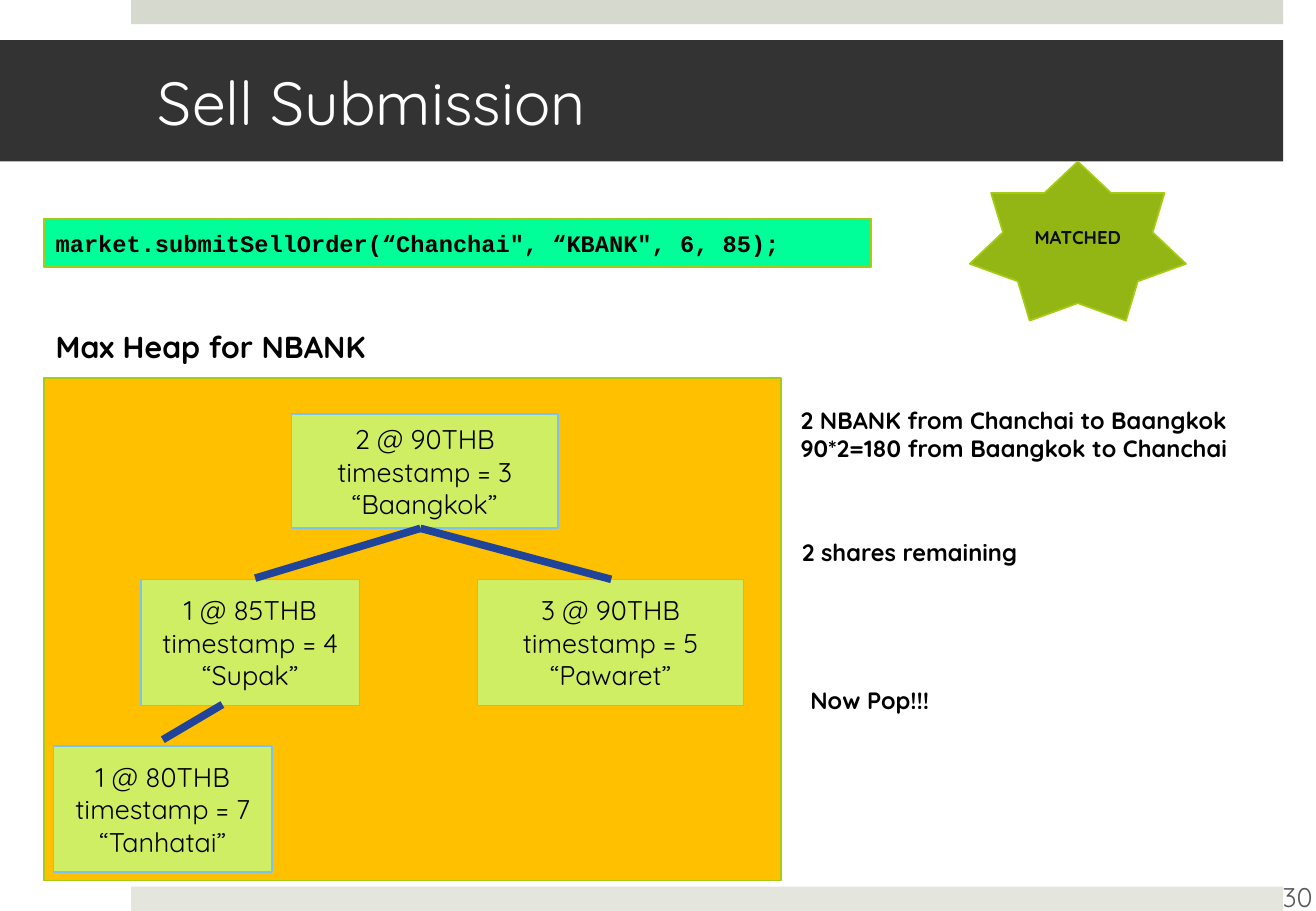
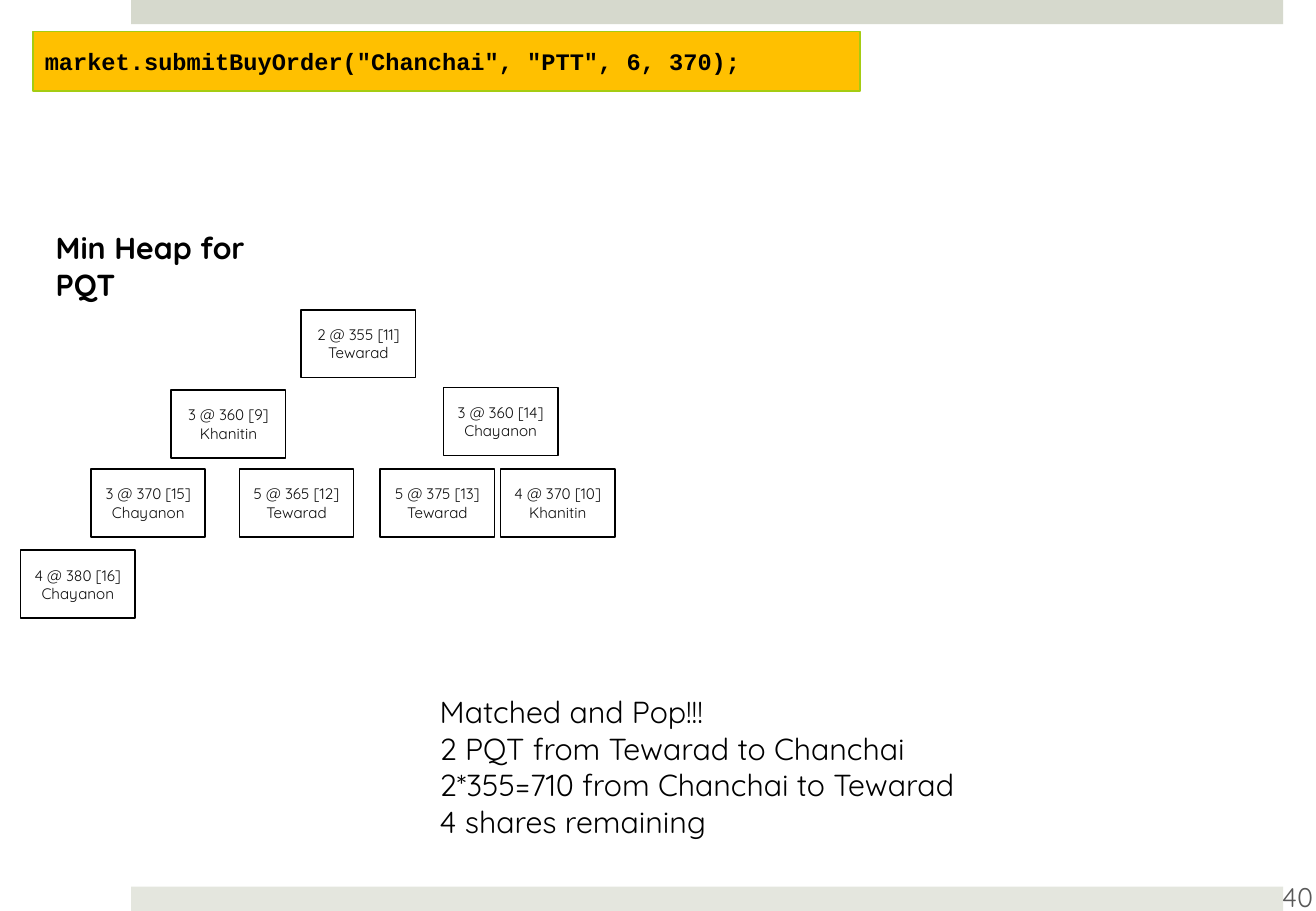
"""Build two slides that trace order matching in a max heap and a min heap."""
from dataclasses import dataclass
from typing import Optional

import lxml.etree
import pptx
import pptx.dml.color
import pptx.dml.fill
import pptx.enum.shapes
import pptx.enum.text
import pptx.oxml.ns
import pptx.presentation
import pptx.shapes.autoshape
import pptx.slide
import pptx.text.text
import pptx.util

Inches = pptx.util.Inches
ShapeKind = pptx.enum.shapes.MSO_SHAPE
Align = pptx.enum.text.PP_ALIGN
Anchor = pptx.enum.text.MSO_ANCHOR


@dataclass(frozen=True)
class Theme:
    """Colours, fonts and type sizes of the presentation."""
    band_top: str = "D6D9CD"
    band_bottom: str = "E4E6DE"
    title_fill: str = "333333"
    white: str = "FFFFFF"
    black: str = "000000"
    soft_black: str = "0D0D0D"
    grey: str = "595959"
    amber: str = "FFC000"
    mint: str = "00FF99"
    green: str = "93B614"
    green_line: str = "A5CC12"
    node_fill: str = "D0EE63"
    node_line: str = "7AC2F2"
    edge: str = "21449B"
    body_font: str = "Quicksand"
    code_font: str = "Courier New"
    title_size: float = 36
    heading_size: float = 18
    node_size: float = 16
    note_size: float = 14
    badge_size: float = 11
    small_size: float = 9
    outline: float = 1
    edge_width: float = 4.5


THEME = Theme()


@dataclass(frozen=True)
class Box:
    """Left, top, width and height in inches."""
    left: float
    top: float
    width: float
    height: float

    def lengths(self) -> list[pptx.util.Length]:
        """Return the four values as lengths."""
        return [Inches(value) for value in (self.left, self.top, self.width, self.height)]


@dataclass(frozen=True)
class Style:
    """Look of a text."""
    size: float
    color: str = THEME.black
    bold: bool = False
    font: str = THEME.body_font
    align: Align = Align.LEFT


@dataclass(frozen=True)
class Node:
    """A heap entry with its place and lines of text."""
    box: Box
    lines: tuple[str, ...]


@dataclass(frozen=True)
class Edge:
    """A link between two points in inches."""
    start: tuple[float, float]
    end: tuple[float, float]


@dataclass(frozen=True)
class Note:
    """A free text with its place and style."""
    box: Box
    lines: tuple[str, ...]
    style: Style
    wrap: bool = False


TITLE = Style(THEME.title_size, THEME.white)
HEADING = Style(THEME.heading_size, bold=True)
REMARK = Style(THEME.note_size, bold=True)
SUMMARY = Style(THEME.heading_size)
CODE = Style(THEME.note_size, bold=True, font=THEME.code_font)
BADGE = Style(THEME.badge_size, THEME.soft_black, True, align=Align.CENTER)
PAGE_NUMBER = Style(THEME.node_size, THEME.grey, align=Align.CENTER)
ORDER = Style(THEME.node_size, align=Align.CENTER)
SMALL_ORDER = Style(THEME.small_size, THEME.soft_black, align=Align.CENTER)

SELL_NODES = (
    Node(Box(2.4, 3.41, 2.19, 0.94), ("2 @ 90THB", "timestamp = 3", "“Baangkok”")),
    Node(Box(1.16, 4.77, 1.8, 1.04), ("1 @ 85THB", "timestamp = 4", "“Supak”")),
    Node(Box(3.93, 4.77, 2.19, 1.04), ("3 @ 90THB", "timestamp = 5", "“Pawaret”")),
    Node(Box(0.44, 6.14, 1.8, 1.04), ("1 @ 80THB", "timestamp = 7", "“Tanhatai”")),
)
ROOT_FOOT = (3.46, 4.35)
SELL_EDGES = (
    Edge((2.1, 4.76), ROOT_FOOT),
    Edge((5.03, 4.77), ROOT_FOOT),
    Edge((1.34, 6.09), (1.83, 5.8)),
)
SELL_NOTES = (
    Note(Box(0.36, 2.65, 2.76, 0.4), ("Max Heap for NBANK",), HEADING),
    Note(Box(6.49, 3.29, 3.81, 0.57),
         ("2 NBANK from Chanchai to Baangkok", "90*2=180 from Baangkok to Chanchai"), REMARK),
    Note(Box(6.5, 4.38, 1.99, 0.34), ("2 shares remaining",), REMARK),
    Note(Box(6.57, 5.6, 1.22, 0.34), ("Now Pop!!!",), REMARK),
)


def buy_node(left: float, top: float, order: str, owner: str) -> Node:
    """Return a small heap entry of the common size."""
    return Node(Box(left, top, 0.94, 0.56), (order, owner))


BUY_NODES = (
    buy_node(2.48, 2.55, "2 @ 355 [11]", "Tewarad"),
    buy_node(1.41, 3.21, "3 @ 360 [9]", "Khanitin"),
    buy_node(3.65, 3.19, "3 @ 360 [14]", "Chayanon"),
    buy_node(0.75, 3.86, "3 @ 370 [15]", "Chayanon"),
    buy_node(1.97, 3.86, "5 @ 365 [12]", "Tewarad"),
    buy_node(3.13, 3.86, "5 @ 375 [13]", "Tewarad"),
    buy_node(4.12, 3.86, "4 @ 370 [10]", "Khanitin"),
    buy_node(0.17, 4.53, "4 @ 380 [16]", "Chayanon"),
)
BUY_NOTES = (
    Note(Box(0.36, 1.84, 2.18, 0.4), ("Min Heap for PQT",), HEADING, wrap=True),
    Note(Box(3.52, 5.66, 4.83, 1.31),
         ("Matched and Pop!!!", "2 PQT from Tewarad to Chanchai",
          "2*355=710 from Chanchai to Tewarad", "4 shares remaining"), SUMMARY),
)


def rgb(color: str) -> pptx.dml.color.RGBColor:
    """Return a colour from its hexadecimal digits."""
    return pptx.dml.color.RGBColor.from_string(color)


def set_fill(fill: pptx.dml.fill.FillFormat, color: Optional[str]) -> None:
    """Fill with a solid colour, or with nothing."""
    if color is None:
        fill.background()
    else:
        fill.solid()
        fill.fore_color.rgb = rgb(color)


def write(frame: pptx.text.text.TextFrame, lines: tuple[str, ...], style: Style) -> None:
    """Write one paragraph per line in the given style."""
    for index, line in enumerate(lines):
        paragraph = frame.add_paragraph() if index else frame.paragraphs[0]
        paragraph.alignment = style.align
        run = paragraph.add_run()
        run.text = line
        run.font.name = style.font
        run.font.size = pptx.util.Pt(style.size)
        run.font.bold = style.bold
        run.font.color.rgb = rgb(style.color)


def add_shape(slide: pptx.slide.Slide, box: Box, fill: Optional[str], line: Optional[str] = None,
              lines: tuple[str, ...] = (), style: Style = ORDER,
              kind: ShapeKind = ShapeKind.RECTANGLE) -> pptx.shapes.autoshape.Shape:
    """Add a flat shape with optional outline and text."""
    shape = slide.shapes.add_shape(kind, *box.lengths())
    shape.shadow.inherit = False
    set_fill(shape.fill, fill)
    set_fill(shape.line.fill, line)
    if line is not None:
        shape.line.width = pptx.util.Pt(THEME.outline)
    shape.text_frame.vertical_anchor = Anchor.MIDDLE
    write(shape.text_frame, lines, style)
    return shape


def add_note(slide: pptx.slide.Slide, note: Note, anchor: Anchor = Anchor.TOP) -> None:
    """Add a text box."""
    frame = slide.shapes.add_textbox(*note.box.lengths()).text_frame
    frame.word_wrap = note.wrap
    frame.vertical_anchor = anchor
    write(frame, note.lines, note.style)


def add_edge(slide: pptx.slide.Slide, edge: Edge) -> None:
    """Add a thick line between two heap entries."""
    points = [Inches(value) for value in (*edge.start, *edge.end)]
    connector = slide.shapes.add_connector(pptx.enum.shapes.MSO_CONNECTOR.STRAIGHT, *points)
    connector.line.color.rgb = rgb(THEME.edge)
    connector.line.width = pptx.util.Pt(THEME.edge_width)
    lxml.etree.SubElement(connector.element.spPr, pptx.oxml.ns.qn("a:effectLst"))


def add_page_number(slide: pptx.slide.Slide, number: str) -> None:
    """Add the page number in the lower right corner."""
    add_note(slide, Note(Box(10.41, 7.18, 0.54, 0.4), (number,), PAGE_NUMBER, wrap=True),
             Anchor.MIDDLE)


def format_title(slide: pptx.slide.Slide, text: str) -> None:
    """Place the title on its dark band."""
    title = slide.shapes.title
    title.left, title.top, title.width, title.height = Box(0, 0.33, 10.56, 1).lengths()
    set_fill(title.fill, THEME.title_fill)
    frame = title.text_frame
    frame.margin_left, frame.margin_right = Inches(1.3), Inches(0.3)
    frame.auto_size = pptx.enum.text.MSO_AUTO_SIZE.NONE
    frame.vertical_anchor = Anchor.MIDDLE
    write(frame, (text,), TITLE)


def add_master_bands(presentation: pptx.presentation.Presentation,
                     slide: pptx.slide.Slide) -> None:
    """Put the top and bottom bands on the slide master."""
    for top, color in ((0, THEME.band_top), (7.3, THEME.band_bottom)):
        band = add_shape(slide, Box(1.08, top, 9.48, 0.2), color)
        presentation.slide_master.shapes.element.append(band.element)


def build_sell_slide(slide: pptx.slide.Slide) -> None:
    """Draw the sell order and the max heap."""
    format_title(slide, "Sell Submission")
    add_page_number(slide, "30")
    add_shape(slide, Box(0.36, 3.11, 6.07, 4.14), THEME.amber, THEME.green_line)
    for node in SELL_NODES:
        add_shape(slide, node.box, THEME.node_fill, THEME.node_line, node.lines, ORDER)
    for edge in SELL_EDGES:
        add_edge(slide, edge)
    add_shape(slide, Box(0.36, 1.8, 6.81, 0.4), THEME.mint, THEME.green_line,
              ('market.submitSellOrder(“Chanchai", “KBANK", 6, 85);',), CODE)
    add_shape(slide, Box(7.98, 1.33, 1.78, 1.31), THEME.green, THEME.green_line,
              ("MATCHED",), BADGE, ShapeKind.STAR_7_POINT)
    for note in SELL_NOTES:
        add_note(slide, note)


def build_buy_slide(slide: pptx.slide.Slide) -> None:
    """Draw the buy order and the min heap."""
    add_page_number(slide, "40")
    add_shape(slide, Box(0.27, 0.26, 6.81, 0.49), THEME.amber, THEME.green_line,
              ('market.submitBuyOrder("Chanchai", "PTT", 6, 370);',), CODE)
    for note in BUY_NOTES:
        add_note(slide, note)
    for node in BUY_NODES:
        add_shape(slide, node.box, None, THEME.black, node.lines, SMALL_ORDER)


def main() -> None:
    """Build and save the presentation."""
    presentation = pptx.Presentation()
    presentation.slide_width, presentation.slide_height = Inches(10.83), Inches(7.5)
    title_only, blank = presentation.slide_layouts[5], presentation.slide_layouts[6]
    sell_slide = presentation.slides.add_slide(title_only)
    add_master_bands(presentation, sell_slide)
    build_sell_slide(sell_slide)
    build_buy_slide(presentation.slides.add_slide(blank))
    presentation.save("out.pptx")


if __name__ == "__main__":
    main()
